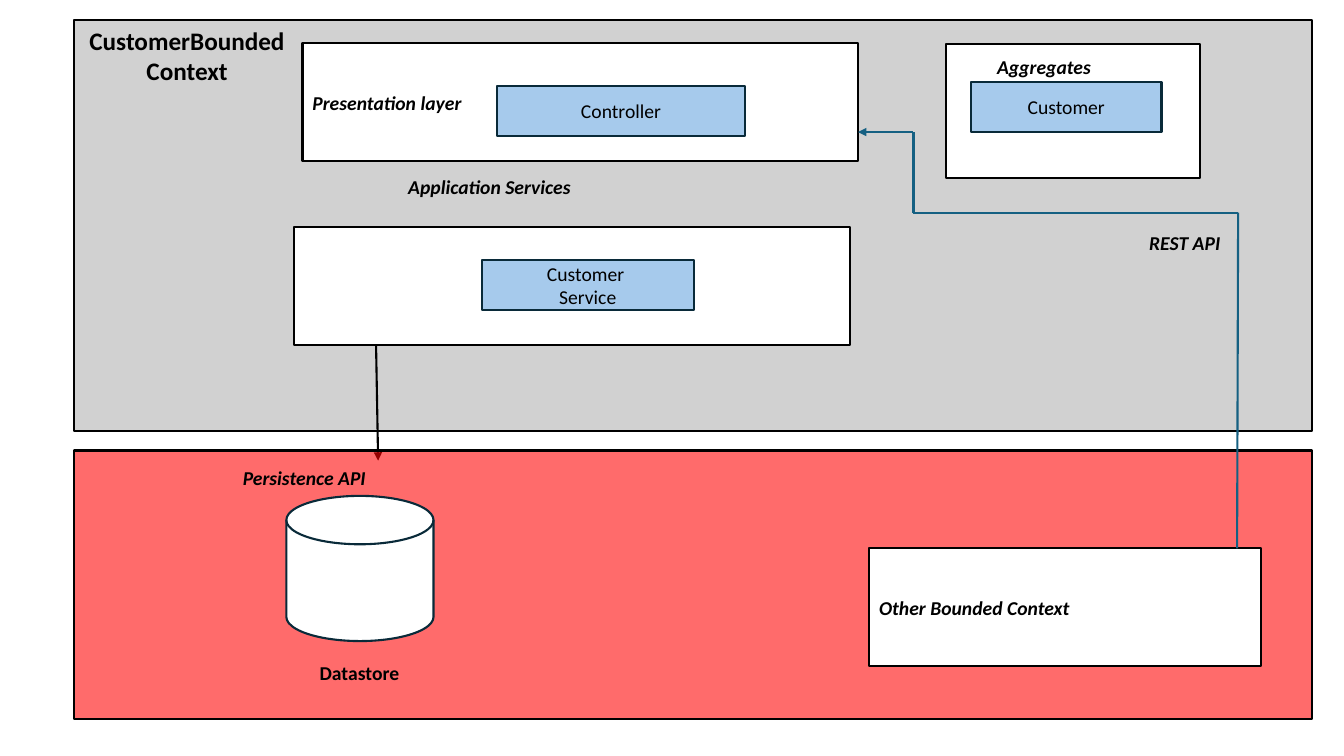
from dataclasses import dataclass
from itertools import pairwise

from lxml import etree
from pptx import Presentation
from pptx import util as u
from pptx.dml.color import RGBColor
from pptx.enum import shapes, text
from pptx.oxml.ns import qn
from pptx.shapes.shapetree import SlideShapes

PX = 9144
FONT = "Calibri"
BLACK = RGBColor(0x00, 0x00, 0x00)
WHITE = RGBColor(0xFF, 0xFF, 0xFF)
GRAY = RGBColor(0xD1, 0xD1, 0xD1)
RED = RGBColor(0xFF, 0x00, 0x00)
SKY = RGBColor(0xA6, 0xCA, 0xEC)
NAVY = RGBColor(0x09, 0x2A, 0x39)
TEAL = RGBColor(0x15, 0x60, 0x82)
RECT = shapes.MSO_SHAPE.RECTANGLE
DISK = shapes.MSO_SHAPE.FLOWCHART_MAGNETIC_DISK
LEFT = text.PP_ALIGN.LEFT
MID = text.PP_ALIGN.CENTER


@dataclass(frozen=True)
class Box:
    """A filled shape, with bold italic left text if it is a layer."""
    area: tuple[int, int, int, int]
    words: str = ""
    fill: RGBColor = WHITE
    edge: RGBColor = BLACK
    kind: shapes.MSO_SHAPE = RECT
    alpha: int = 100


@dataclass(frozen=True)
class Label:
    """A free caption."""
    area: tuple[int, int, int, int]
    words: str
    align: text.PP_ALIGN = LEFT
    size: int = 14
    slant: bool = True


@dataclass(frozen=True)
class Route:
    """A run of straight lines that may end in an arrow."""
    points: tuple[tuple[int, int], ...]
    color: RGBColor


def part(x: int, y: int, w: int, words: str) -> Box:
    """Describe a blue component."""
    return Box((x, y, w, 50), words, SKY, NAVY)


ITEMS: list[Box | Label | Route] = [
    Box((73, 20, 1228, 408), fill=GRAY),
    Box((292, 225, 551, 117)),
    Label((395, 169, 189, 34), "Application Services"),
    part(478, 258, 210, "Customer \nService"),
    Box((938, 44, 252, 133)),
    Label((941, 50, 189, 34), "Aggregates", MID),
    part(963, 81, 189, "Customer"),
    Label((56, 20, 259, 71), "CustomerBounded Context", MID, 18, False),
    Route(((373, 343), (375, 457)), BLACK),
    Box((73, 447, 1228, 266), fill=RED, alpha=58),
    Label((231, 457, 167, 34), "Persistence API"),
    Box((284, 492, 146, 144), edge=NAVY, kind=DISK),
    Label((294, 651, 125, 34), "Datastore", MID, slant=False),
    Box((300, 43, 551, 117), "Presentation layer"),
    part(493, 85, 246, "Controller"),
    Box((862, 544, 389, 117), "Other Bounded Context"),
    Route(((1227, 544), (1228, 211), (906, 211), (906, 131), (851, 131)), TEAL),
    Label((1130, 224, 167, 34), "REST API"),
]


def write(frame: text.MSO_ANCHOR, words: str, align: text.PP_ALIGN,
          size: int, bold: bool, slant: bool) -> None:
    """Fill a text frame and format its runs."""
    frame.word_wrap = True
    frame.text = words
    for para in frame.paragraphs:
        para.alignment = align
        for run in para.runs:
            font = run.font
            font.name, font.size = FONT, u.Pt(size)
            font.bold, font.italic = bold, slant
            font.color.rgb = BLACK


def draw_box(tree: SlideShapes, box: Box) -> None:
    """Draw a filled shape with its text."""
    shape = tree.add_shape(box.kind, *(n * PX for n in box.area))
    shape.shadow.inherit = False
    shape.fill.solid()
    shape.fill.fore_color.rgb = box.fill
    shape.line.color.rgb = box.edge
    shape.line.width = u.Pt(1.5)
    if box.alpha < 100:
        tint = shape._element.spPr.find(qn("a:solidFill"))[0]
        etree.SubElement(tint, qn("a:alpha"), val=str(box.alpha * 1000))
    if box.words:
        layer = box.fill == WHITE
        shape.text_frame.vertical_anchor = text.MSO_ANCHOR.MIDDLE
        write(shape.text_frame, box.words, LEFT if layer else MID, 14, layer, layer)


def draw_label(tree: SlideShapes, label: Label) -> None:
    """Draw a bold caption."""
    frame = tree.add_textbox(*(n * PX for n in label.area)).text_frame
    write(frame, label.words, label.align, label.size, True, label.slant)
    frame.auto_size = text.MSO_AUTO_SIZE.SHAPE_TO_FIT_TEXT


def draw_route(tree: SlideShapes, route: Route) -> None:
    """Draw each line of a route and an arrowhead on the last."""
    for start, end in pairwise(route.points):
        line = tree.add_connector(shapes.MSO_CONNECTOR.STRAIGHT,
                                  *(n * PX for n in start + end))
        line.line.color.rgb = route.color
        line.line.width = u.Pt(1.5)
        props = line._element.spPr
        etree.SubElement(props, qn("a:effectLst"))
        if end == route.points[-1]:
            etree.SubElement(props.find(qn("a:ln")), qn("a:tailEnd"), type="triangle")


def main() -> None:
    """Build the slide and save it."""
    deck = Presentation()
    deck.slide_width, deck.slide_height = 1333 * PX, 750 * PX
    tree = deck.slides.add_slide(deck.slide_layouts[6]).shapes
    for item in ITEMS:
        if isinstance(item, Box):
            draw_box(tree, item)
        elif isinstance(item, Label):
            draw_label(tree, item)
        else:
            draw_route(tree, item)
    deck.save("out.pptx")


if __name__ == "__main__":
    main()
